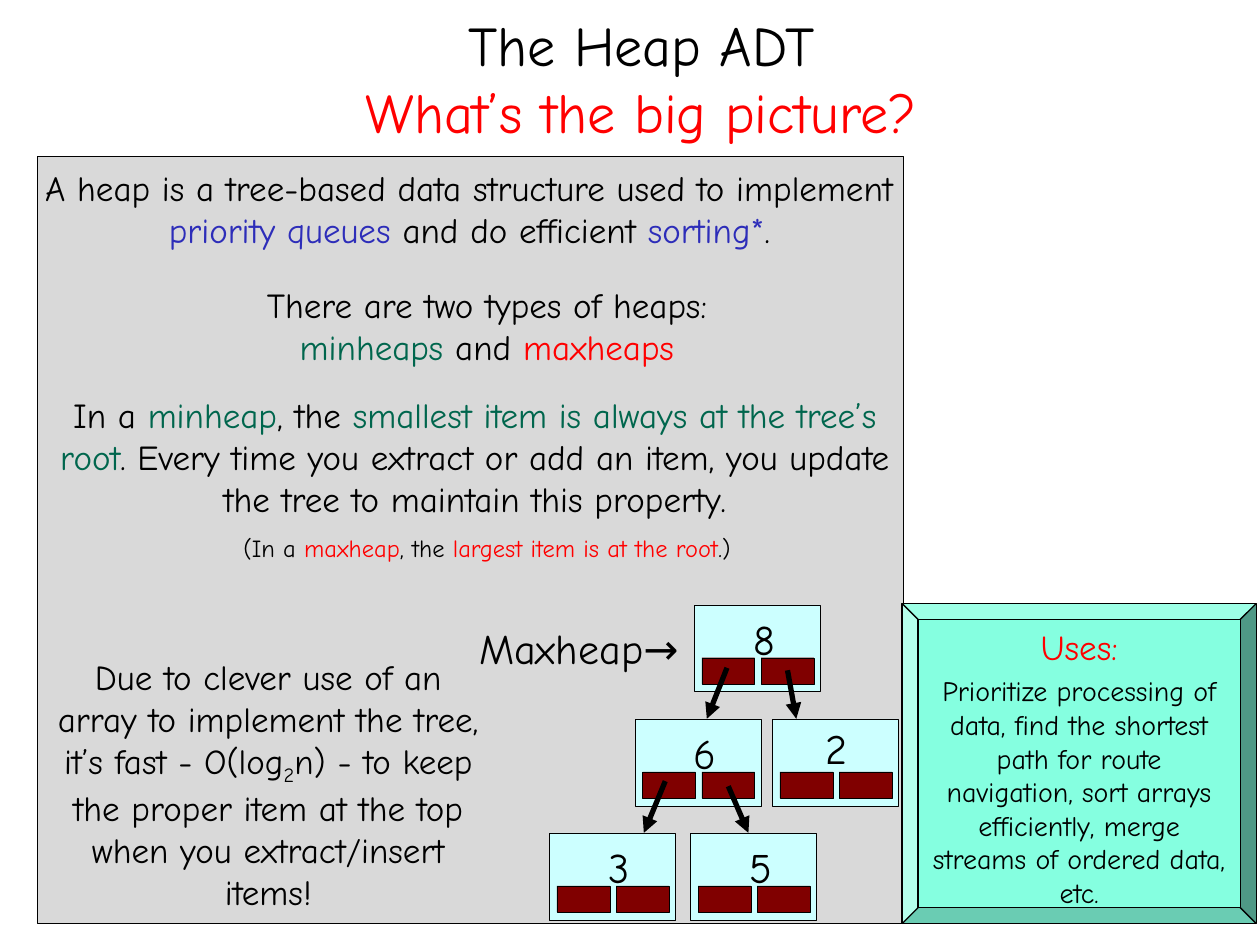
import dataclasses
import pptx
import pptx.dml.color
import pptx.enum.shapes
import pptx.enum.text
import pptx.oxml
import pptx.oxml.ns
import pptx.util

Inches = pptx.util.Inches
Pt = pptx.util.Pt
Shape = pptx.enum.shapes.MSO_SHAPE
Anchor = pptx.enum.text.MSO_ANCHOR
Align = pptx.enum.text.PP_ALIGN
Fit = pptx.enum.text.MSO_AUTO_SIZE


@dataclasses.dataclass(frozen=True)
class Theme:
    font: str = "Comic Neue"
    ink: str = "000000"
    red: str = "FF0000"
    blue: str = "2D2DB9"
    green: str = "00664D"
    panel: str = "D9D9D9"
    node: str = "CCFFFF"
    link: str = "800000"
    uses: str = "85FFE0"
    title: int = 32
    key: int = 24
    body: int = 20
    list: int = 16
    note: int = 14
    edge: float = 0.75
    thin: float = 0.25
    arrow: float = 3


T = Theme()


def color(code):
    return pptx.dml.color.RGBColor.from_string(code)


def style(run, size, code=T.ink):
    run.font.name = T.font
    run.font.size = Pt(size)
    run.font.color.rgb = color(code)


def write(para, size, parts, align=Align.CENTER):
    """Add each (text, colour) part to the paragraph as its own run."""
    para.alignment = align
    for text, code in parts:
        run = para.add_run()
        run.text = text
        style(run, size, code)


def label(shapes, box, size, paras, wrap=True, align=Align.CENTER):
    frame = shapes.add_textbox(*map(Inches, box)).text_frame
    frame.word_wrap = wrap
    frame.auto_size = Fit.SHAPE_TO_FIT_TEXT
    for i, parts in enumerate(paras):
        para = frame.add_paragraph() if i else frame.paragraphs[0]
        write(para, size, parts, align)
    return frame


def block(shapes, box, fill, width, kind=Shape.RECTANGLE):
    shape = shapes.add_shape(kind, *map(Inches, box))
    shape.shadow.inherit = False
    shape.fill.solid()
    shape.fill.fore_color.rgb = color(fill)
    shape.line.color.rgb = color(T.ink)
    shape.line.width = Pt(width)
    return shape


def arrow(shapes, start, end):
    line = shapes.add_connector(
        pptx.enum.shapes.MSO_CONNECTOR.STRAIGHT, *map(Inches, start + end))
    line.line.color.rgb = color(T.ink)
    line.line.width = Pt(T.arrow)
    ns = pptx.oxml.ns.nsdecls("a")
    line.line._get_or_add_ln().append(
        pptx.oxml.parse_xml(f'<a:tailEnd {ns} type="triangle"/>'))
    line._element.spPr.append(pptx.oxml.parse_xml(f"<a:effectLst {ns}/>"))


def head(slide, box):
    title = slide.shapes.title
    title.left, title.top, title.width, title.height = map(Inches, box)
    frame = title.text_frame
    frame.auto_size = Fit.NONE
    frame.vertical_anchor = Anchor.MIDDLE
    para = frame.paragraphs[0]
    write(para, T.title, [("The Heap ADT", T.ink)])
    para.add_line_break()
    write(para, T.title, [("What’s the big picture?", T.red)])


def facts(slide, box):
    """Grey panel with the explanation of heaps."""
    x, y = box[:2]
    shapes = slide.shapes
    block(shapes, box, T.panel, T.edge)
    notes = [
        ((-0.05, 0.03, 6.95, 0.77), T.body, [[
            ("A heap is a tree-based data structure used to implement ", T.ink),
            ("priority queues ", T.blue), ("and do efficient ", T.ink),
            ("sorting*", T.blue), (".", T.ink)]]),
        ((0.13, 0.96, 6.87, 0.77), T.body, [
            [("There are two types of heaps:", T.ink)],
            [("minheaps", T.green), (" and ", T.ink), ("maxheaps", T.red)]]),
        ((-0.05, 1.83, 7.04, 1.11), T.body, [[
            ("In a ", T.ink), ("minheap", T.green), (", the ", T.ink),
            ("smallest item is always at the tree’s root", T.green),
            (". Every time you extract or add an item, you update the tree "
             "to maintain this property.", T.ink)]]),
        ((0.8, 2.94, 5.53, 0.34), T.note, [[
            ("(In a ", T.ink), ("maxheap", T.red), (", the ", T.ink),
            ("largest item is at the root", T.red), (".)", T.ink)]]),
    ]
    for (dx, dy, w, h), size, paras in notes:
        label(shapes, (x + dx, y + dy, w, h), size, paras)
    speed = label(shapes, (x + 0.06, y + 3.91, 3.54, 2.12), T.body, [[
        ("Due to clever use of an array to implement the tree, "
         "it’s fast - O(log", T.ink),
        ("2", T.ink),
        ("n) - to keep the proper item at the top when you "
         "extract/insert items!", T.ink)]])
    base = speed.paragraphs[0].runs[1]
    base._r.get_or_add_rPr().set("baseline", "-25000")


def node(shapes, x, y, key, dx=0.37, dy=0.02):
    """Tree node with two link cells; dx and dy place its key."""
    block(shapes, (x, y, 1, 0.69), T.node, T.thin)
    for i in range(2):
        block(shapes, (x + 0.06 + 0.47 * i, y + 0.42, 0.42, 0.21),
              T.link, T.thin)
    label(shapes, (x + dx, y + dy, 0.33, 0.43), T.key, [[(key, T.ink)]],
          wrap=False, align=Align.LEFT)


def tree(slide, box):
    x, y = box[:2]
    label(slide.shapes, (x - 0.73, y + 0.09, 1.93, 0.5), T.key,
          [[("Maxheap→", T.ink)]], wrap=False)
    shapes = slide.shapes.add_group_shape().shapes
    step = 0.905
    for dx, row, key, *place in [(1.15, 0, "8"), (0.68, 1, "6"),
                                 (1.77, 1, "2", 0.32, -0.02),
                                 (1.12, 2, "5"), (0, 2, "3")]:
        node(shapes, x + dx, y + row * step, key, *place)
    for dx, dy, ex, row in [(1.41, 0.5, 1.25, 1), (1.89, 0.52, 1.96, 1),
                            (0.92, 1.4, 0.75, 2), (1.42, 1.44, 1.58, 2)]:
        arrow(shapes, (x + dx, y + dy), (x + ex, y + row * step))


def uses(slide, box):
    shape = block(slide.shapes, box, T.uses, T.edge, Shape.BEVEL)
    shape.adjustments[0] = 0.05
    frame = shape.text_frame
    frame.word_wrap = True
    frame.vertical_anchor = Anchor.TOP
    write(frame.paragraphs[0], T.body, [("Uses:", T.red)])
    para = frame.add_paragraph()
    para.space_before = Pt(3.6)
    write(para, T.list, [(
        "Prioritize processing of data, find the shortest path for route "
        "navigation, sort arrays efficiently, merge streams of ordered "
        "data, etc.", T.ink)])


def main():
    deck = pptx.Presentation()
    deck.slide_width, deck.slide_height = Inches(10), Inches(7.5)
    slide = deck.slides.add_slide(deck.slide_layouts[5])
    head(slide, (0.56, -0.01, 9.06, 1.25))
    facts(slide, (0.3, 1.24, 6.87, 6.09))
    tree(slide, (4.36, 4.8, 2.77, 2.5))
    uses(slide, (7.16, 4.79, 2.81, 2.54))
    deck.save("out.pptx")


if __name__ == "__main__":
    main()
